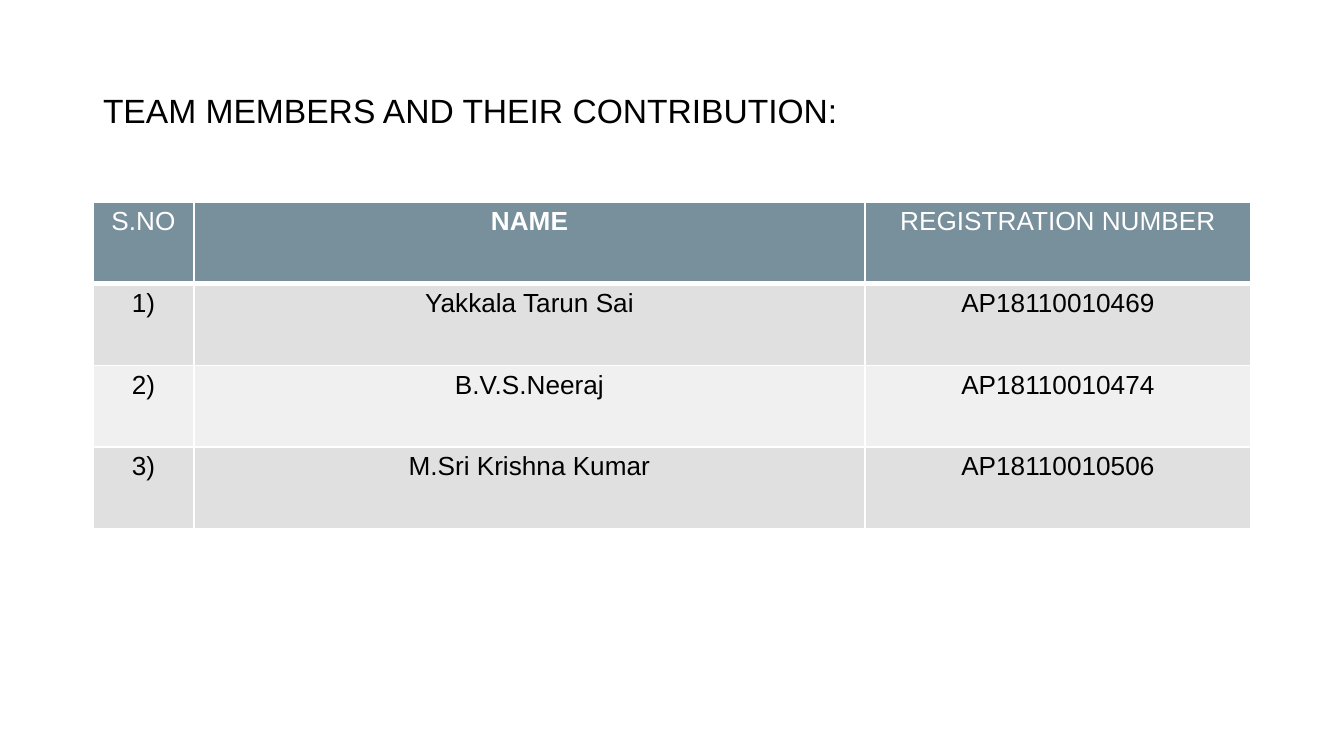
import pptx
import pptx.dml.color
import pptx.enum.text
import pptx.oxml
import pptx.oxml.ns
import pptx.util

RGBColor = pptx.dml.color.RGBColor
ALIGN = pptx.enum.text.PP_ALIGN
ANCHOR = pptx.enum.text.MSO_ANCHOR

WHITE = RGBColor(0xFF, 0xFF, 0xFF)
BLACK = RGBColor(0x00, 0x00, 0x00)
SLATE = RGBColor(0x78, 0x90, 0x9C)
BANDS = RGBColor(0xE0, 0xE0, 0xE0), RGBColor(0xF0, 0xF0, 0xF0)

SCALE = 914400 / 134.4
WIDTHS = 101, 671, 386
HEADS = "S.NO", "NAME", "REGISTRATION NUMBER"
MEMBERS = (
    ("Yakkala Tarun Sai", "AP18110010469"),
    ("B.V.S.Neeraj", "AP18110010474"),
    ("M.Sri Krishna Kumar", "AP18110010506"),
)


def px(count):
    return pptx.util.Emu(round(count * SCALE))


def write(frame, text, size=14, color=BLACK, bold=False, align=ALIGN.CENTER, spacing=1.0):
    para = frame.paragraphs[0]
    para.alignment = align
    para.line_spacing = spacing
    run = para.add_run()
    run.text = text
    font = run.font
    font.name = "Arial"
    font.size = pptx.util.Pt(size)
    font.bold = bold
    font.color.rgb = color


def pad(item, side, end):
    item.margin_left = item.margin_right = px(side)
    item.margin_top = item.margin_bottom = px(end)


def edge(cell, **points):
    """Draw white cell borders; each keyword is a side (L, R, T, B) and its width."""
    props = cell._tc.get_or_add_tcPr()
    space = pptx.oxml.ns.nsdecls("a")
    for side, width in points.items():
        props.append(pptx.oxml.parse_xml(
            f'<a:ln{side} {space} w="{pptx.util.Pt(width)}"><a:solidFill>'
            f'<a:srgbClr val="{WHITE}"/></a:solidFill></a:ln{side}>'))


def add_title(slide, left, top, width, height):
    title = slide.shapes.title
    title.left, title.top = px(left), px(top)
    title.width, title.height = px(width), px(height)
    frame = title.text_frame
    frame.word_wrap = True
    frame.auto_size = pptx.enum.text.MSO_AUTO_SIZE.NONE
    frame.vertical_anchor = ANCHOR.MIDDLE
    pad(frame, 10, 5)
    write(frame, "TEAM MEMBERS AND THEIR CONTRIBUTION:", size=18,
          align=ALIGN.LEFT, spacing=0.9)


def add_team(slide, left, top, width, height):
    rows = [HEADS] + [(f"{n})", *member) for n, member in enumerate(MEMBERS, 1)]
    table = slide.shapes.add_table(
        len(rows), len(HEADS), px(left), px(top), px(width), px(height)).table
    for column, share in zip(table.columns, WIDTHS):
        column.width = px(width * share / sum(WIDTHS))
    for r, row in enumerate(rows):
        head = r == 0
        for c, text in enumerate(row):
            cell = table.cell(r, c)
            edge(cell, L=1, R=1, T=3 if r == 1 else 1, B=3 if head else 1)
            cell.fill.solid()
            cell.fill.fore_color.rgb = SLATE if head else BANDS[(r - 1) % 2]
            cell.vertical_anchor = ANCHOR.TOP
            pad(cell, 10, 5)
            write(cell.text_frame, text, color=WHITE if head else BLACK,
                  bold=text == "NAME")


def main():
    deck = pptx.Presentation()
    deck.slide_width, deck.slide_height = px(1344), px(756)
    slide = deck.slides.add_slide(deck.slide_layouts[5])
    add_title(slide, 93, 40, 1158, 146)
    add_team(slide, 93, 202, 1158, 327)
    deck.save("out.pptx")


if __name__ == "__main__":
    main()
